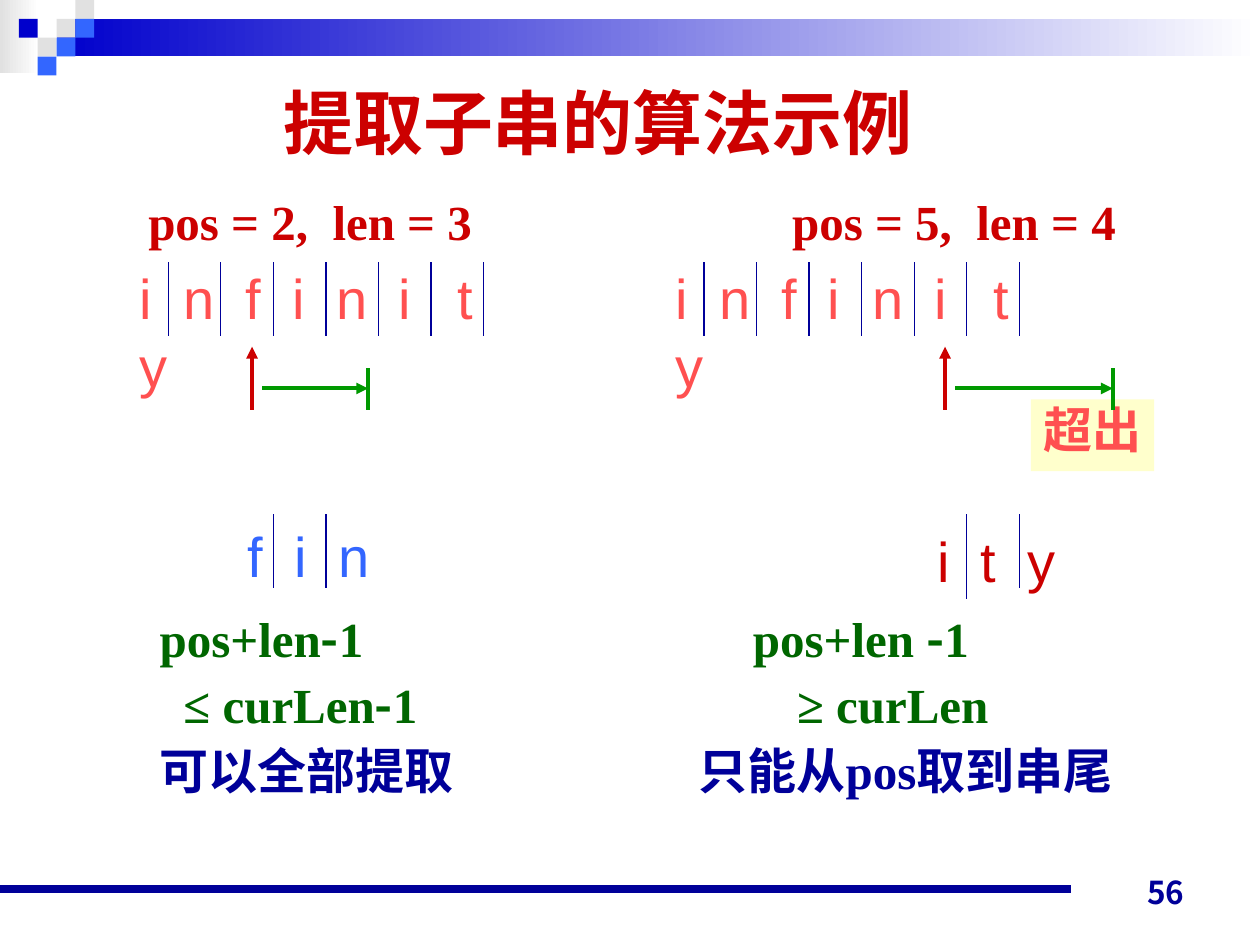
from itertools import groupby

from lxml import etree
from pptx import Presentation
from pptx import util as u
from pptx.dml.color import RGBColor
from pptx.enum import shapes, text
from pptx.oxml.ns import qn

NAVY = RGBColor(0x00, 0x00, 0x99)
BLUE = RGBColor(0x00, 0x00, 0xCC)
SKY = RGBColor(0x33, 0x66, 0xFF)
GREY = RGBColor(0xE1, 0xE1, 0xE1)
WHITE = RGBColor(0xFF, 0xFF, 0xFF)
RED = RGBColor(0xCC, 0x00, 0x00)
CORAL = RGBColor(0xFF, 0x50, 0x50)
GREEN = RGBColor(0x00, 0x99, 0x00)
DARK_GREEN = RGBColor(0x00, 0x66, 0x00)
CREAM = RGBColor(0xFF, 0xFF, 0xCC)

SANS, SERIF = "Arial", "Times New Roman"
HAN, PAGE_FONT = "Noto Sans CJK SC", "Noto Sans CJK JP"

COLUMN_GAP = 10.8   # from the left example to the right one
CELL = 1.06         # width of one character cell
FIRST_DIVIDER = 3.39
SQUARE = 0.38


def write(paragraph, words, font=SERIF, size=28, color=RED, bold=False,
          tabs=(), leading=None, align=None):
    """Fill a paragraph; hyphens take the Han font, newlines become breaks."""
    if tabs:
        tab_list = etree.SubElement(paragraph._p.get_or_add_pPr(), qn("a:tabLst"))
        for stop in tabs:
            etree.SubElement(tab_list, qn("a:tab"), pos=str(u.Cm(stop)), algn="l")
    if leading:
        paragraph.line_spacing = u.Pt(leading)
    if align is not None:
        paragraph.alignment = align
    for number, line in enumerate(words.split("\n")):
        if number:
            paragraph.add_line_break()
        for is_hyphen, letters in groupby(line, key=lambda letter: letter == "-"):
            run = paragraph.add_run()
            run.text = "".join(letters)
            run.font.name = HAN if is_hyphen else font
            run.font.size = u.Pt(size)
            run.font.bold = bold
            run.font.color.rgb = color
            etree.SubElement(run._r.get_or_add_rPr(), qn("a:ea"), typeface=HAN)


class Board:
    """The current slide and the way its elements are drawn, in centimetres."""

    divider_weight = 0.75
    arrow_weight = 2.25

    def __init__(self, slide):
        self.shapes = slide.shapes

    def label(self, left, top, width, height, words, wrap=True,
              anchor=text.MSO_ANCHOR.TOP, **style):
        frame = self.shapes.add_textbox(
            u.Cm(left), u.Cm(top), u.Cm(width), u.Cm(height)).text_frame
        frame.word_wrap = wrap
        frame.vertical_anchor = anchor
        write(frame.paragraphs[0], words, **style)
        return frame

    def block(self, left, top, width, height, *colors):
        """A rectangle in one color, or fading from the first to the second."""
        rect = self.shapes.add_shape(
            shapes.MSO_SHAPE.RECTANGLE,
            u.Cm(left), u.Cm(top), u.Cm(width), u.Cm(height))
        rect.shadow.inherit = False
        rect.line.fill.background()
        if len(colors) == 1:
            rect.fill.solid()
            rect.fill.fore_color.rgb = colors[0]
        else:
            rect.fill.gradient()
            rect.fill.gradient_angle = 0
            for stop, color in zip(rect.fill.gradient_stops, colors):
                stop.color.rgb = color
        return rect

    def line(self, x1, y1, x2, y2, color, weight, arrow=False):
        link = self.shapes.add_connector(
            shapes.MSO_CONNECTOR.STRAIGHT, u.Cm(x1), u.Cm(y1), u.Cm(x2), u.Cm(y2))
        link.line.color.rgb = color
        link.line.width = u.Pt(weight)
        if arrow:
            etree.SubElement(link.line._get_or_add_ln(), qn("a:tailEnd"), type="triangle")
        etree.SubElement(link._element.spPr, qn("a:effectLst"))

    def dividers(self, shift, cells, top, bottom):
        for cell in cells:
            x = FIRST_DIVIDER + shift + cell * CELL
            self.line(x, top, x, bottom, NAVY, self.divider_weight)

    def source_string(self, shift):
        self.label(2.57 + shift, 5.16, 8.4, 3.2, "i\tn\tf\ti\tn\ti\tt\ny",
                   font=SANS, size=32, color=CORAL, leading=39,
                   tabs=(0.88, 2.13, 3.07, 3.96, 5.21, 6.4))
        self.dividers(shift, range(7), 5.29, 6.77)

    def substring(self, left, top, letters, color, second):
        self.label(left, top, 2.95, 1.6, "\t".join(letters), wrap=False,
                   font=SANS, size=32, color=color, leading=39, tabs=(second, 1.82))

    def extent(self, start, end):
        """The pos pointer, the len arrow and the stop where it ends."""
        self.line(start, 8.26, start, 6.99, RED, self.arrow_weight, arrow=True)
        self.line(start + 0.21, 7.83, end, 7.83, GREEN, self.arrow_weight, arrow=True)
        self.line(end, 7.42, end, 8.26, GREEN, self.arrow_weight)


def draw_frame(board):
    board.block(0, 0, 0.79, 1.47, GREY, WHITE)
    board.block(1.14, 0.38, 24.26, 0.76, BLUE, WHITE)
    mosaic = ((3, 1, GREY), (4, 0, GREY), (4, 1, SKY), (2, 2, GREY),
              (1, 1, BLUE), (3, 2, SKY), (2, 3, SKY))
    for column, row, color in mosaic:
        board.block(column * SQUARE, row * SQUARE, SQUARE, SQUARE, color)
    board.line(0, 17.93, 21.59, 17.93, NAVY, 4.5)
    board.label(18.21, 17.22, 5.92, 1.27, "56", anchor=text.MSO_ANCHOR.BOTTOM,
                font=PAGE_FONT, size=18, color=NAVY, bold=True,
                align=text.PP_ALIGN.RIGHT)
    board.label(5.46, 1.5, 14.81, 1.91, "提取子串的算法示例",
                anchor=text.MSO_ANCHOR.MIDDLE, font=SANS, size=40, bold=True)


def draw_examples(board):
    for left, settings in ((2.74, "pos = 2,  len = 3"), (15.72, "pos = 5,  len = 4")):
        board.label(left, 3.73, 7.04, 1.45, settings, wrap=False, bold=True, leading=34)
    for shift in (0, COLUMN_GAP):
        board.source_string(shift)

    warning = board.block(20.78, 8.05, 2.49, 1.45, CREAM).text_frame
    warning.word_wrap = False
    warning.vertical_anchor = text.MSO_ANCHOR.TOP
    warning.margin_top = 0
    write(warning.paragraphs[0], "超出", color=CORAL, bold=True,
          align=text.PP_ALIGN.LEFT)

    board.extent(5.08, 7.42)
    board.extent(19.05, 22.43)

    board.dividers(0, (2, 3), 10.37, 11.85)
    board.dividers(COLUMN_GAP, (5,), 10.37, 12.07)
    board.dividers(COLUMN_GAP, (6,), 10.37, 11.85)
    board.substring(4.75, 10.37, "fin", SKY, 0.94)
    board.substring(18.64, 10.47, "ity", RED, 0.88)


def draw_conclusions(board):
    conclusion = board.label(2.97, 12, 22.3, 4.17, "pos+len-1\tpos+len -1",
                             color=DARK_GREEN, bold=True, leading=37.7, tabs=(11.96,))
    write(conclusion.add_paragraph(), "\t≤ curLen-1\t≥ curLen",
          color=DARK_GREEN, bold=True, leading=37.7, tabs=(0.48, 12.85))
    write(conclusion.add_paragraph(), "可以全部提取\t只能从pos取到串尾",
          color=NAVY, bold=True, leading=37.7, tabs=(10.87,))


def main():
    deck = Presentation()
    deck.slide_width, deck.slide_height = u.Cm(25.4), u.Cm(19.05)
    board = Board(deck.slides.add_slide(deck.slide_layouts[6]))
    draw_frame(board)
    draw_examples(board)
    draw_conclusions(board)
    deck.save("out.pptx")


if __name__ == "__main__":
    main()
